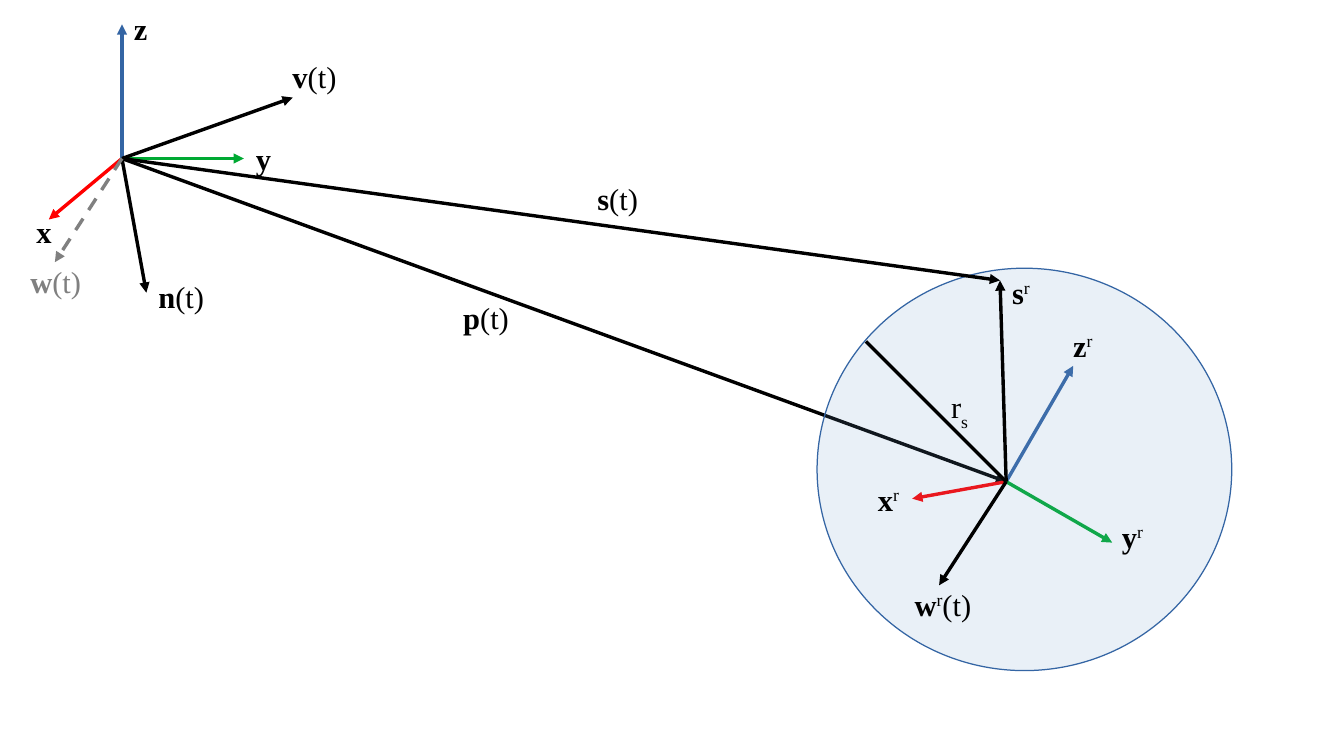
from lxml import etree
from pptx import Presentation
from pptx.dml.color import RGBColor
from pptx.enum import dml, shapes, text
from pptx.oxml import ns
from pptx.util import Inches, Pt

HUES = {"black": "000000", "red": "FF0000", "blue": "3465A4",
        "green": "00A933", "gray": "808080", "ball": "729FCF"}

deck = Presentation()
deck.slide_width, deck.slide_height = Inches(11.02), Inches(6.2)
slide = deck.slides.add_slide(deck.slide_layouts[6])


def draw(start, end, hue="black", head=True, dash=False):
    line = slide.shapes.add_connector(
        shapes.MSO_CONNECTOR.STRAIGHT, *[Inches(v) for v in start + end])
    line.line.color.rgb = RGBColor.from_string(HUES[hue])
    line.line.width = 0
    if dash:
        line.line.dash_style = dml.MSO_LINE.DASH
    props = line._element.spPr
    if head:
        etree.SubElement(props.find(ns.qn("a:ln")), ns.qn("a:tailEnd"), type="triangle")
    etree.SubElement(props, ns.qn("a:effectLst"))


def label(left, top, width, runs, hue="black"):
    box = slide.shapes.add_textbox(Inches(left), Inches(top), Inches(width), Inches(0.57))
    frame = box.text_frame
    frame.word_wrap = True
    frame.auto_size = text.MSO_AUTO_SIZE.SHAPE_TO_FIT_TEXT
    for words, style in runs:
        run = frame.paragraphs[0].add_run()
        run.text = words
        run.font.name = "Times New Roman"
        run.font.size = Pt(18)
        run.font.bold = style == "bold"
        run.font.color.rgb = RGBColor.from_string(HUES[hue])
        if style in ("sup", "sub"):
            base = "33000" if style == "sup" else "-33000"
            run._r.get_or_add_rPr().set("baseline", base)


eye = (1, 1.3)
core = (8.25, 3.95)
spot = (8.2, 2.3)

draw(eye, core)
for end, hue in [((0.4, 1.8), "red"), ((1, 0.2), "blue"), ((2, 1.3), "green")]:
    draw(eye, end, hue)
for end, hue in [((7.48, 4.09), "red"), ((8.8, 3), "blue"), ((9.12, 4.45), "green")]:
    draw(core, end, hue)

ball = slide.shapes.add_shape(
    shapes.MSO_SHAPE.OVAL, Inches(6.7), Inches(2.2), Inches(3.4), Inches(3.3))
ball.shadow.inherit = False
ball.fill.solid()
ball.fill.fore_color.rgb = RGBColor.from_string(HUES["ball"])
tint = ball._element.spPr.find(ns.qn("a:solidFill"))[0]
etree.SubElement(tint, ns.qn("a:alpha"), val="15000")
ball.line.color.rgb = RGBColor.from_string(HUES["blue"])
ball.line.width = 0

draw(core, (7.1, 2.8), head=False)
for start, end in [(eye, (1.2, 2.4)), (core, (7.7, 4.8)), (core, spot),
                   (eye, spot), (eye, (2.4, 0.8))]:
    draw(start, end)
draw(eye, (0.45, 2.15), "gray", dash=True)

for name, left, top in [("x", 0.2, 1.7), ("y", 2, 1.1), ("z", 1, 0.03)]:
    label(left, top, 0.5, [(name, "bold")])

for name, left, top in [("x", 7.1, 3.9), ("y", 9.1, 4.2),
                        ("z", 8.7, 2.63), ("s", 8.2, 2.2)]:
    label(left, top, 0.5, [(name, "bold"), ("r", "sup")])

for name, left, top, width, hue in [
        ("n", 1.2, 2.23, 0.8, "black"), ("p", 3.7, 2.4, 0.9, "black"),
        ("s", 4.8, 1.43, 0.9, "black"), ("w", 0.15, 2.11, 0.75, "gray"),
        ("v", 2.3, 0.43, 0.8, "black")]:
    label(left, top, width, [(name, "bold"), ("(t)", "plain")], hue)

label(7.4, 4.76, 0.75, [("w", "bold"), ("r", "sup"), ("(t)", "plain")])
label(7.7, 3.13, 0.5, [("r", "plain"), ("s", "sub")])

deck.save("out.pptx")
